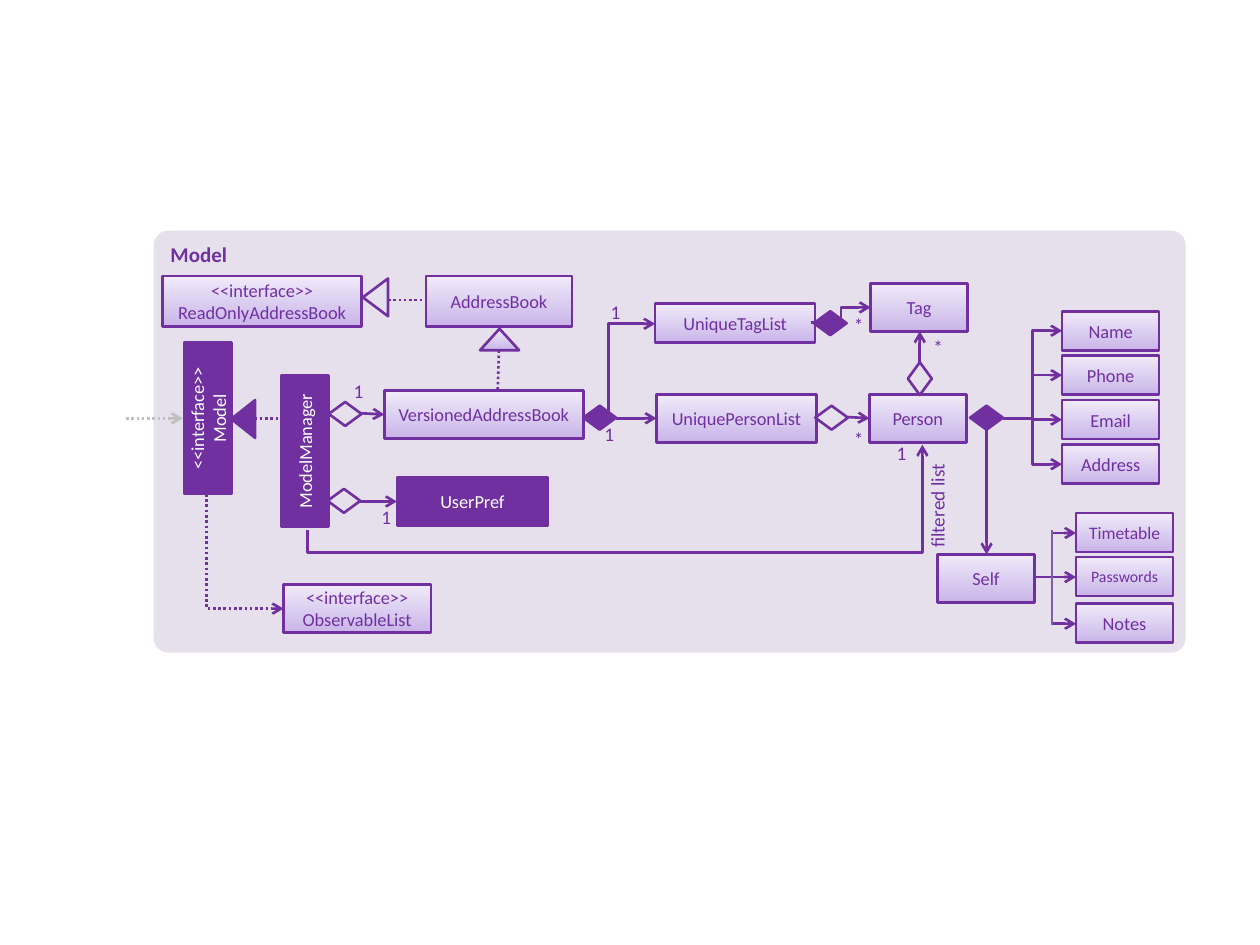
from dataclasses import dataclass
from typing import Any

from lxml import etree
from pptx import Presentation
from pptx import util as u
from pptx.dml.color import RGBColor
from pptx.enum import dml, shapes, text
from pptx.oxml.ns import qn

PURPLE = RGBColor(0x70, 0x30, 0xA0)
MUTED_PURPLE = RGBColor(0x7D, 0x60, 0xA0)
PANEL = RGBColor(0xE6, 0xE0, 0xEC)
SHADE = RGBColor(0xC9, 0xB5, 0xE8)
TINT = RGBColor(0xF0, 0xEA, 0xF9)
GREY = RGBColor(0xBF, 0xBF, 0xBF)
WHITE = RGBColor(0xFF, 0xFF, 0xFF)
GRADIENT = (SHADE, TINT)
FONT = "Calibri"
WIDTH, HEIGHT = u.Inches(10), u.Inches(7.5)
COLUMN, ROW = WIDTH / 100, HEIGHT / 75
CENTER, LEFT, RIGHT = text.PP_ALIGN.CENTER, text.PP_ALIGN.LEFT, text.PP_ALIGN.RIGHT
KINDS = shapes.MSO_SHAPE


def write(shape, words, size, color, align=CENTER, bold=False):
    frame = shape.text_frame
    frame.word_wrap = True
    frame.text = words
    for para in frame.paragraphs:
        para.alignment = align
        for span in para.runs:
            span.font.name = FONT
            span.font.size = u.Pt(size)
            span.font.bold = bold
            span.font.color.rgb = color


def clear_margins(frame):
    frame.margin_left = frame.margin_right = frame.margin_top = frame.margin_bottom = 0


@dataclass
class Area:
    page: Any
    left: float
    top: float

    def point(self, x, y):
        return round((self.left + x) * COLUMN), round((self.top + y) * ROW)

    def shape(self, kind, x, y, w, h, fill=None, turn=0, outline=True):
        shape = self.page.shapes.add_shape(
            kind, *self.point(x, y), round(w * COLUMN), round(h * ROW))
        shape.shadow.inherit = False
        shape.rotation = turn
        if fill is None:
            shape.fill.background()
        elif fill is GRADIENT:
            shape.fill.gradient()
            shape.fill.gradient_angle = 90
            for stop, color, position in zip(shape.fill.gradient_stops, fill, (0, 1)):
                stop.color.rgb = color
                stop.position = position
        else:
            shape.fill.solid()
            shape.fill.fore_color.rgb = fill
        if outline:
            shape.line.color.rgb = PURPLE
            shape.line.width = u.Pt(1.5)
        else:
            shape.line.fill.background()
        return shape

    def node(self, words, x, y, w=7.7, h=3.8, size=10.5, fill=GRADIENT, turn=0):
        shape = self.shape(KINDS.RECTANGLE, x, y, w, h, fill, turn)
        write(shape, words, size, PURPLE if fill is GRADIENT else WHITE)
        clear_margins(shape.text_frame)
        shape.text_frame.vertical_anchor = text.MSO_ANCHOR.MIDDLE

    def diamond(self, x, y, fill=None, turn=0):
        self.shape(KINDS.FLOWCHART_DECISION, x, y, 2.6, 1.9, fill, turn)

    def triangle(self, x, y, w, h, fill, turn=0):
        self.shape(KINDS.ISOSCELES_TRIANGLE, x, y, w, h, fill, turn)

    def label(self, words, x, y):
        box = self.page.shapes.add_textbox(
            *self.point(x, y), round(2.1 * COLUMN), round(2 * ROW))
        write(box, words, 11, PURPLE)
        clear_margins(box.text_frame)

    def line(self, start, end, color=PURPLE, dotted=False, arrow=True,
             kind=shapes.MSO_CONNECTOR.STRAIGHT):
        connector = self.page.shapes.add_connector(
            kind, *self.point(*start), *self.point(*end))
        connector.line.color.rgb = color
        connector.line.width = u.Pt(1.5)
        if dotted:
            connector.line.dash_style = dml.MSO_LINE.ROUND_DOT
        if arrow:
            etree.SubElement(connector.line._get_or_add_ln(), qn("a:tailEnd"), type="arrow")
        etree.SubElement(connector._element.spPr, qn("a:effectLst"))
        return connector

    def elbow(self, start, end, **style):
        return self.line(start, end, kind=shapes.MSO_CONNECTOR.ELBOW, **style)

    def upright_elbow(self, start, end, bend=None, **style):
        middle_x, middle_y = (start[0] + end[0]) / 2, (start[1] + end[1]) / 2
        half_x, half_y = (end[1] - start[1]) / 2, (start[0] - end[0]) / 2
        connector = self.elbow((middle_x - half_x, middle_y - half_y),
                               (middle_x + half_x, middle_y + half_y), **style)
        properties = connector._element.spPr
        properties.find(qn("a:xfrm")).set("rot", "5400000")
        geometry = properties.find(qn("a:prstGeom"))
        if bend is None:
            geometry.set("prst", "bentConnector2")
        else:
            guides = geometry.find(qn("a:avLst"))
            etree.SubElement(guides, qn("a:gd"), name="adj1", fmla=f"val {round(bend * 100000)}")


def draw_panel(page, left, top):
    area = Area(page, left, top)
    panel = area.shape(KINDS.ROUNDED_RECTANGLE, 0, 0, 81.9, 33.5, PANEL, outline=False)
    panel.adjustments[0] = 0.035
    panel.text_frame.vertical_anchor = text.MSO_ANCHOR.TOP
    write(panel, "Model", 12, PURPLE, LEFT, True)


def draw_manager(page, left, top):
    area = Area(page, left, top)
    area.node("ModelManager", 8.2, 2.9, 12, fill=PURPLE, turn=270)
    area.node("<<interface>>\nModel", 0.5, 0.3, 12, fill=PURPLE, turn=270)
    area.triangle(7.8, 1.3, 3, 1.9, PURPLE, 270)
    area.line((0, 2.2), (4.5, 2.2), GREY, dotted=True)
    area.line((10.2, 2.2), (12.6, 2.2), dotted=True, arrow=False)
    area.node("<<interface>>\vObservableList", 12.5, 15.4, 11.7)
    area.upright_elbow((6.4, 8.2), (12.5, 17.3), dotted=True)
    area.upright_elbow((14.4, 11.1), (63.2, 4.3), bend=-0.26)


def draw_address_book(page, left, top):
    area = Area(page, left, top)
    area.node("<<interface>>\vReadOnlyAddressBook", 0, 0, 15.8, 4)
    area.node("AddressBook", 20.9, 0, 11.6, 4)
    area.triangle(15.4, 0.7, 3, 2, PANEL, 270)
    area.line((17.9, 1.9), (20.9, 1.9), dotted=True, arrow=False)
    area.node("VersionedAddressBook", 17.6, 9.1, 15.8)
    area.triangle(25.2, 4.2, 3.1, 1.7, GRADIENT)
    area.line((26.7, 5.9), (26.6, 9.1), dotted=True, arrow=False)
    area.node("UserPref", 18.6, 16, 12, fill=PURPLE)
    area.diamond(13.2, 10)
    area.line((15.8, 10.9), (17.6, 11))
    area.diamond(13.1, 16.9)
    area.line((15.6, 17.9), (18.6, 17.9))
    area.label("1", 14.5, 8.2)
    area.label("1", 16.7, 18.2)


def draw_lists(page, left, top):
    area = Area(page, left, top)
    area.node("UniquePersonList", 6.1, 9.3, 12.7)
    area.node("UniqueTagList", 6, 2.1, 12.7, 3.1)
    area.diamond(0.3, 10.2, PURPLE)
    area.line((2.9, 11.2), (6.1, 11.2))
    area.upright_elbow((2.3, 11.5), (6, 3.7))
    area.diamond(18.7, 10.2)
    area.line((21.3, 11.1), (23, 11.2))
    area.diamond(18.6, 2.7, PURPLE)
    area.elbow((18.4, 3.6), (23.1, 2.4))
    for words, x, y in (("1", 1.3, 11.5), ("1", 1.8, 1.8), ("*", 21.1, 11.9), ("*", 21.1, 2.9)):
        area.label(words, x, y)


def draw_person(page, left, top):
    area = Area(page, left, top)
    area.node("Tag", 0.1, 0.5)
    area.node("Person", 0, 9.3)
    area.diamond(2.7, 7.1, turn=270)
    area.line((4, 6.8), (4, 4.3))
    area.label("*", 4.4, 4.6)
    area.label("1", 1.5, 13)
    caption = page.shapes.add_textbox(
        *area.point(0.6, 17.2), round(9.6 * COLUMN), round(2.9 * ROW))
    caption.rotation = 270
    write(caption, "filtered list", 11, PURPLE, RIGHT)
    area.diamond(8, 10.2, PURPLE)
    for index, words in enumerate(("Name", "Phone", "Email", "Address")):
        y = 2.7 + 3.53 * index
        area.node(words, 15.3, y, h=3.1)
        area.elbow((10.6, 11.2), (15.3, y + 1.55))


def draw_self(page, left, top):
    area = Area(page, left, top)
    area.node("Self", 0, 3.3)
    area.line((3.9, -6.6), (3.9, 3.3))
    for words, size, y, start in (
            ("Timetable", 10, 0, 9.1), ("Passwords", 9, 3.5, 7.7), ("Notes", 10.5, 7.2, 9.1)):
        area.node(words, 11, y, h=3.1, size=size)
        area.line((start, y + 1.6), (11, y + 1.6))
    area.line((9.1, 1.4), (9.1, 8.9), MUTED_PURPLE, arrow=False)


deck = Presentation()
deck.slide_width, deck.slide_height = WIDTH, HEIGHT
page = deck.slides.add_slide(deck.slide_layouts[6])
draw_panel(page, 12.2, 18.3)
draw_manager(page, 10, 31)
draw_address_book(page, 12.9, 21.9)
draw_lists(page, 46, 22)
draw_person(page, 69, 22)
draw_self(page, 74.4, 40.7)
deck.save("out.pptx")
